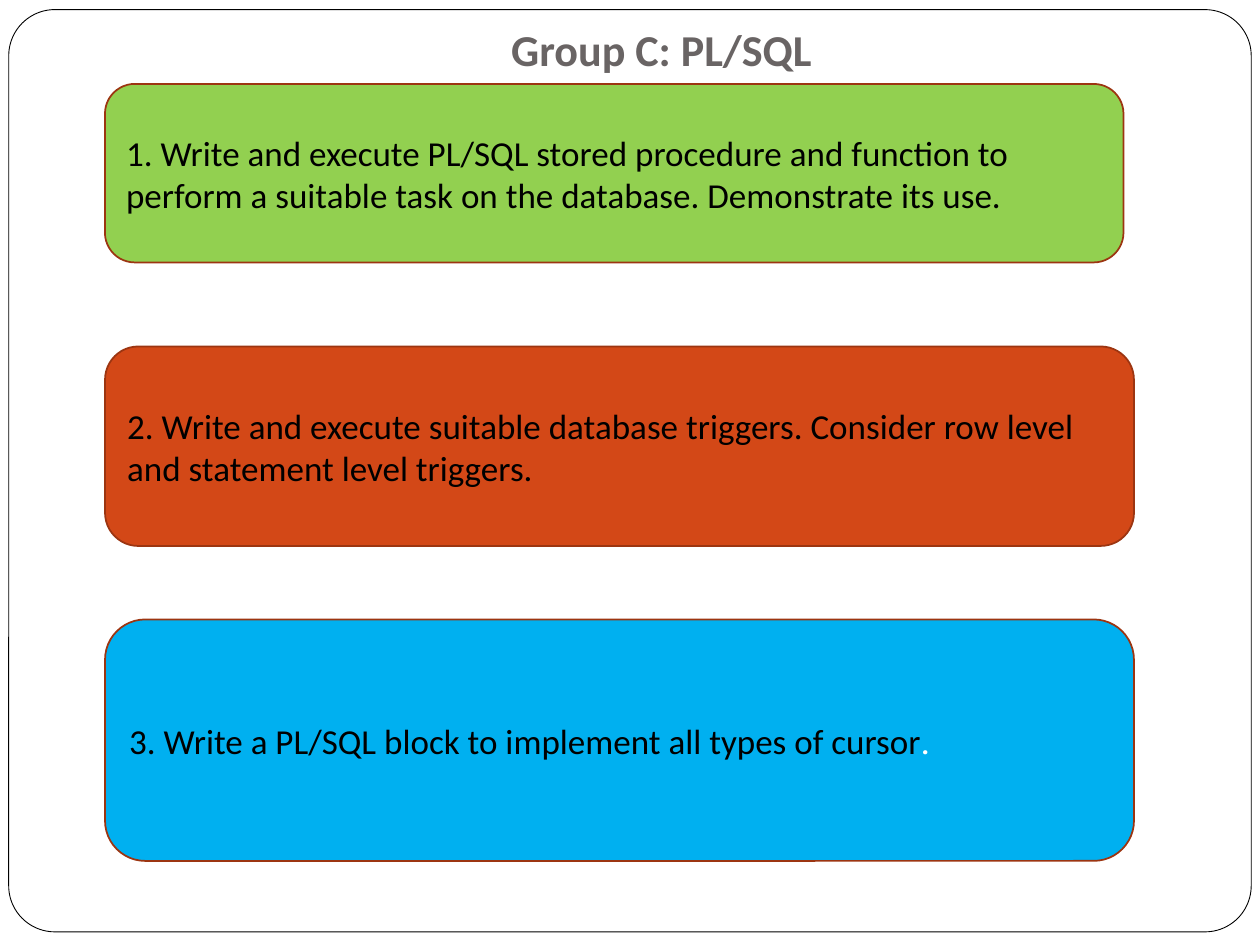
from dataclasses import dataclass

from pptx import Presentation
from pptx.dml.color import RGBColor
from pptx.enum.shapes import MSO_SHAPE
from pptx.enum.text import MSO_ANCHOR, MSO_AUTO_SIZE, PP_ALIGN
from pptx.util import Pt


@dataclass(frozen=True)
class Theme:
    font: str = "Calibri"
    accent_font: str = "Vollkorn"
    title_size: float = 25.2
    body_size: float = 20
    accent_size: float = 18
    white: str = "FFFFFF"
    black: str = "000000"
    title_color: str = "696464"
    outline: str = "9C3511"
    green: str = "92D050"
    orange: str = "D34817"
    blue: str = "00B0F0"


def add_text(paragraph, text, *, font, size, color, bold=False):
    run = paragraph.add_run()
    run.text = text
    run.font.name = font
    run.font.size = Pt(size)
    run.font.bold = bold
    run.font.color.rgb = RGBColor.from_string(color)


class SlideBuilder:
    def __init__(self, slide, theme):
        self.slide = slide
        self.theme = theme

    def rounded_box(self, left, top, width, height, *, fill, line, line_width=1):
        shape = self.slide.shapes.add_shape(
            MSO_SHAPE.ROUNDED_RECTANGLE, Pt(left), Pt(top), Pt(width), Pt(height))
        shape.shadow.inherit = False
        shape.fill.solid()
        shape.fill.fore_color.rgb = RGBColor.from_string(fill)
        shape.line.color.rgb = RGBColor.from_string(line)
        shape.line.width = Pt(line_width)
        return shape

    def frame(self, left, top, width, height):
        shape = self.rounded_box(left, top, width, height, fill=self.theme.white,
                                 line=self.theme.black, line_width=0.5)
        shape.adjustments[0] = 0.05
        # Keep the frame behind the title
        shape.element.addnext(self.slide.shapes.title.element)

    def title(self, text, left, top, width, height):
        title = self.slide.shapes.title
        title.left, title.top = Pt(left), Pt(top)
        title.width, title.height = Pt(width), Pt(height)
        text_frame = title.text_frame
        text_frame.auto_size = MSO_AUTO_SIZE.NONE
        text_frame.vertical_anchor = MSO_ANCHOR.BOTTOM
        text_frame.margin_bottom = Pt(7.2)
        paragraph = text_frame.paragraphs[0]
        paragraph.alignment = PP_ALIGN.CENTER
        add_text(paragraph, text, font=self.theme.font, size=self.theme.title_size,
                 color=self.theme.title_color, bold=True)

    def task(self, text, left, top, width, height, *, fill, alignment=PP_ALIGN.LEFT):
        shape = self.rounded_box(left, top, width, height, fill=fill,
                                 line=self.theme.outline)
        shape.text_frame.word_wrap = True
        shape.text_frame.vertical_anchor = MSO_ANCHOR.MIDDLE
        paragraph = shape.text_frame.paragraphs[0]
        paragraph.alignment = alignment
        add_text(paragraph, text, font=self.theme.font, size=self.theme.body_size,
                 color=self.theme.black)
        return paragraph


theme = Theme()
presentation = Presentation()
presentation.slide_width, presentation.slide_height = Pt(720), Pt(540)
title_only = presentation.slide_layouts[5]
builder = SlideBuilder(presentation.slides.add_slide(title_only), theme)

# Frame and title
builder.frame(5, 5.5, 710, 527)
builder.title("Group C: PL/SQL", 72, 12, 612, 38)

# Tasks: text, top, width, height, fill, alignment
tasks = [
    ("1. Write and execute PL/SQL stored procedure and function to perform "
     "a suitable task on the database. Demonstrate its use.",
     48, 582, 102, theme.green, PP_ALIGN.LEFT),
    ("2. Write and execute suitable database triggers. Consider row level "
     "and statement level triggers.",
     198, 588, 114, theme.orange, PP_ALIGN.LEFT),
    ("3. Write a PL/SQL block to implement all types of cursor",
     354, 588, 138, theme.blue, PP_ALIGN.JUSTIFY),
]
for text, top, width, height, fill, alignment in tasks:
    paragraph = builder.task(text, 60, top, width, height, fill=fill,
                             alignment=alignment)

# White full stop after the last task
add_text(paragraph, ".", font=theme.accent_font, size=theme.accent_size,
         color=theme.white)

presentation.save("out.pptx")
